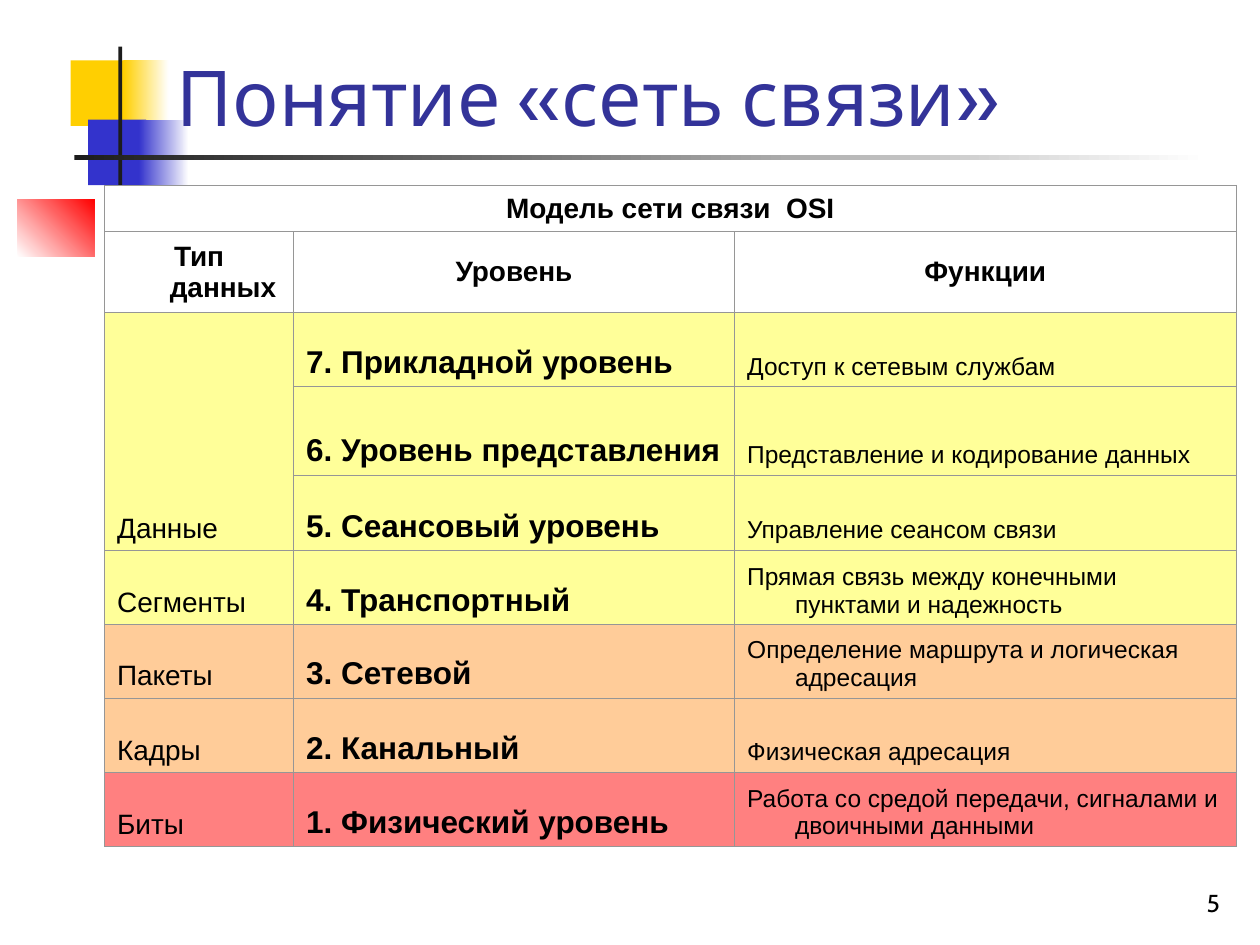
from lxml import etree
from pptx import Presentation
from pptx import util as u
from pptx.dml.color import RGBColor
from pptx.enum import shapes, text
from pptx.oxml.ns import qn

WHITE, BLACK, GREY = "FFFFFF", "000000", "969696"
YELLOW, ORANGE, RED = "FFFF99", "FFCC99", "FF8080"


def color(value):
    return RGBColor.from_string(value)


def write(frame, words, align, anchor, **font):
    frame.word_wrap = True
    frame.vertical_anchor = anchor
    paragraph = frame.paragraphs[0]
    paragraph.text = words
    paragraph.alignment = align
    paragraph.font.color.rgb = color(font.pop("color", BLACK))
    for name, value in font.items():
        setattr(paragraph.font, name, value)
    return paragraph


presentation = Presentation()
presentation.slide_width = u.Inches(10)
presentation.slide_height = u.Inches(7.5)
slide = presentation.slides.add_slide(presentation.slide_layouts[5])
LEFT, CENTER, RIGHT = text.PP_ALIGN.LEFT, text.PP_ALIGN.CENTER, text.PP_ALIGN.RIGHT
MIDDLE, BOTTOM = text.MSO_ANCHOR.MIDDLE, text.MSO_ANCHOR.BOTTOM

# Corner decoration: box, start colour, end colour, counter-clockwise angle
decoration = [
    ((0.56, 0.48, 0.48, 0.52), "FFCF01", None, 0),
    ((0.98, 0.48, 0.36, 0.52), "FFCF01", WHITE, 0),
    ((0.7, 0.95, 0.46, 0.52), "3333CC", None, 0),
    ((1.1, 0.95, 0.4, 0.52), "3333CC", WHITE, 0),
    ((0.14, 1.58, 0.61, 0.46), WHITE, "FF0000", 45),
    ((0.94, 0.37, 0.03, 1.15), "1C1C1C", None, 0),
    ((0.59, 1.23, 9, 0.04), "1C1C1C", WHITE, 0),
]
for box, start, end, angle in decoration:
    shape = slide.shapes.add_shape(shapes.MSO_SHAPE.RECTANGLE, *map(u.Inches, box))
    shape.shadow.inherit = False
    shape.line.fill.background()
    if end is None:
        shape.fill.solid()
        shape.fill.fore_color.rgb = color(start)
    else:
        shape.fill.gradient()
        shape.fill.gradient_angle = angle
        for stop, value, position in zip(shape.fill.gradient_stops, (start, end), (0, 1)):
            stop.color.rgb = color(value)
            stop.position = position

# Slide number
number = slide.shapes.add_textbox(*map(u.Inches, (7.7, 6.83, 2.08, 0.5)))
write(number.text_frame, "5", RIGHT, BOTTOM, size=u.Pt(14), name="Cabin")

# Title, brought in front of the decoration
title = slide.shapes.title
title.left, title.top, title.width, title.height = map(u.Inches, (1.3, -0.42, 8.52, 1.6))
title.text_frame.auto_size = text.MSO_AUTO_SIZE.NONE
write(title.text_frame, "Понятие «сеть связи»", LEFT, BOTTOM,
      size=u.Pt(44), name="Cabin", color="333399")
slide.shapes._spTree.append(title._element)

# Table of the OSI layers: fill and three texts per row, None inside merged cells
rows = [
    (WHITE, "Модель сети связи  OSI", None, None),
    (WHITE, "Тип данных", "Уровень", "Функции"),
    (YELLOW, "Данные", "7. Прикладной уровень", "Доступ к сетевым службам"),
    (YELLOW, None, "6. Уровень представления", "Представление и кодирование данных"),
    (YELLOW, None, "5. Сеансовый уровень", "Управление сеансом связи"),
    (YELLOW, "Сегменты", "4. Транспортный",
     "Прямая связь между конечными пунктами и надежность"),
    (ORANGE, "Пакеты", "3. Сетевой", "Определение маршрута и логическая адресация"),
    (ORANGE, "Кадры", "2. Канальный", "Физическая адресация"),
    (RED, "Биты", "1. Физический уровень",
     "Работа со средой передачи, сигналами и двоичными данными"),
]
widths = [1.5, 3.5, 3.98]
heights = [0.37, 0.64, 0.59, 0.7, 0.6, 0.59, 0.58, 0.59, 0.59]
header_format = {"size": u.Pt(16), "bold": True}
column_formats = [
    {"size": u.Pt(16), "bold": False},
    {"size": u.Pt(18), "bold": True},
    {"size": u.Pt(14), "bold": False},
]
table = slide.shapes.add_table(
    len(rows), len(widths), *map(u.Inches, (0.83, 1.47, sum(widths), sum(heights)))
).table
table.first_row = table.horz_banding = False
for column, width in zip(table.columns, widths):
    column.width = u.Inches(width)
for row, height in zip(table.rows, heights):
    row.height = u.Inches(height)
table.cell(0, 0).merge(table.cell(0, 2))
table.cell(2, 0).merge(table.cell(4, 0))

for r, (fill, *texts) in enumerate(rows):
    for c, words in enumerate(texts):
        cell = table.cell(r, c)
        properties = cell._tc.get_or_add_tcPr()
        for side in ("a:lnL", "a:lnR", "a:lnT", "a:lnB"):
            line = etree.SubElement(properties, qn(side), w=str(u.Pt(0.45)))
            solid = etree.SubElement(line, qn("a:solidFill"))
            etree.SubElement(solid, qn("a:srgbClr"), val=GREY)
        cell.fill.solid()
        cell.fill.fore_color.rgb = color(fill)
        if words is None:
            continue
        header = r < 2
        paragraph = write(cell.text_frame, words, CENTER if header else LEFT, None,
                          name="Arial", **(header_format if header else column_formats[c]))
        cell.vertical_anchor = MIDDLE if header else BOTTOM
        indent = paragraph._p.get_or_add_pPr()
        indent.set("marL", str(u.Inches(0.38)))
        indent.set("indent", str(u.Inches(-0.38)))

presentation.save("out.pptx")
